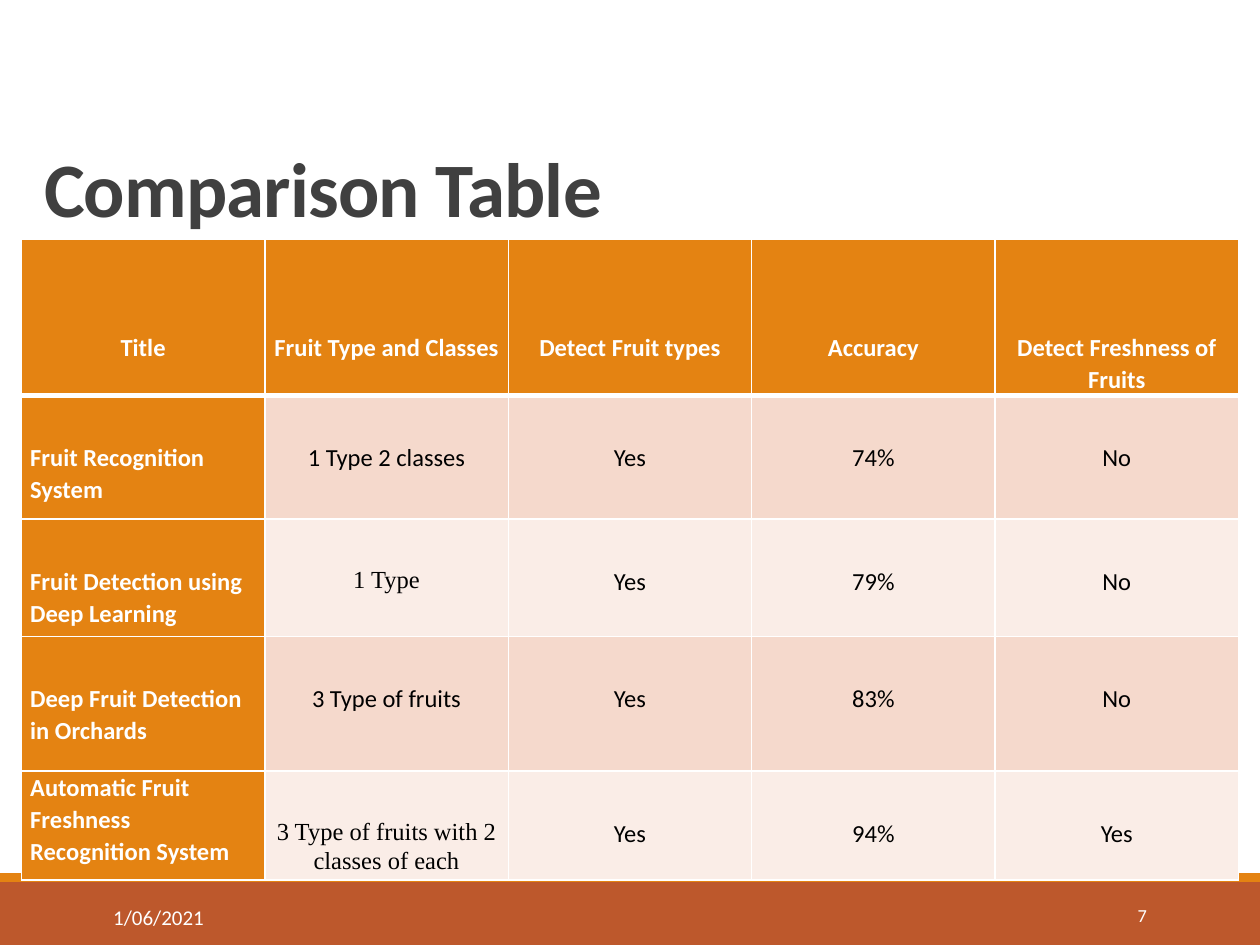
from lxml import etree
from pptx import Presentation, util as u
from pptx.dml.color import RGBColor
from pptx.enum import shapes, text
from pptx.oxml.ns import qn

COLORS = {
    "white": "FFFFFF", "black": "000000", "title": "404040", "rule": "808080",
    "orange": "E48312", "rust": "BD582C", "odd": "F5D9CC", "even": "FAEDE7",
}
FONT, SERIF = "Calibri", "Times New Roman"
WIDTH, HEIGHT = 10, 7.5

HEADER = ["Title", "Fruit Type and Classes", "Detect Fruit types",
          "Accuracy", "Detect Freshness of Fruits"]
SYSTEMS = [
    ["Fruit Recognition System", "1 Type 2 classes", "Yes", "74%", "No"],
    ["Fruit Detection using Deep Learning", "1 Type", "Yes", "79%", "No"],
    ["Deep Fruit Detection in Orchards", "3 Type of fruits", "Yes", "83%", "No"],
    ["Automatic Fruit Freshness Recognition System",
     "3 Type of fruits with 2 classes of each", "Yes", "94%", "Yes"],
]
ROWS = [HEADER] + SYSTEMS
ROW_HEIGHTS = [1.24, 0.98, 0.93, 1.07, 0.82]
TABLE_LEFT, TABLE_TOP = 0.17, 1.9
COL_WIDTH = (WIDTH - 2 * TABLE_LEFT) / len(HEADER)
TEXT_DROP = 0.365  # one line with its spacing
SERIF_CELLS = {(2, 1), (4, 1)}
TOP_CELLS = {(4, 0)}


def rgb(name):
    return RGBColor.from_string(COLORS[name])


def style(p, size, color, bold=False, font=FONT, align=text.PP_ALIGN.LEFT):
    p.alignment = align
    p.font.size, p.font.bold, p.font.name = u.Pt(size), bold, font
    p.font.color.rgb = rgb(color)


def add_band(s, top, height, color):
    sp = s.shapes.add_shape(shapes.MSO_SHAPE.RECTANGLE, 0, u.Inches(top),
                            u.Inches(WIDTH), u.Inches(height))
    sp.shadow.inherit = False
    sp.fill.solid()
    sp.fill.fore_color.rgb = rgb(color)
    sp.line.fill.background()


def add_label(s, box, label, size, align):
    tf = s.shapes.add_textbox(*map(u.Inches, box)).text_frame
    tf.word_wrap = True
    tf.vertical_anchor = text.MSO_ANCHOR.MIDDLE
    p = tf.paragraphs[0]
    p.text = label
    style(p, size, "white", align=align)


def set_borders(cell, **widths):
    """Draw white cell borders; widths are points keyed by L, R, T and B."""
    tcPr = cell._tc.get_or_add_tcPr()
    for side, width in widths.items():
        ln = etree.SubElement(tcPr, qn(f"a:ln{side}"), w=str(u.Pt(width)))
        fill = etree.SubElement(ln, qn("a:solidFill"))
        etree.SubElement(fill, qn("a:srgbClr"), val=COLORS["white"])


def fill_cell(cell, row, col, value):
    heading = row == 0 or col == 0
    set_borders(cell, L=1, R=1, T=3 if row == 1 else 1, B=3 if row == 0 else 1)
    cell.fill.solid()
    cell.fill.fore_color.rgb = rgb(
        "orange" if heading else "odd" if row % 2 else "even")
    lines = 2 if row == 0 else 0 if (row, col) in TOP_CELLS else 1
    cell.margin_left = cell.margin_right = u.Inches(0.07)
    cell.margin_top, cell.margin_bottom = u.Inches(lines * TEXT_DROP), 0
    p = cell.text_frame.paragraphs[0]
    p.text = value
    p.line_spacing, p.space_after = 1.07, u.Pt(8)
    style(p, 14, "white" if heading else "black", heading,
          SERIF if (row, col) in SERIF_CELLS else FONT,
          text.PP_ALIGN.LEFT if row and col == 0 else text.PP_ALIGN.CENTER)


def add_comparison(s):
    table = s.shapes.add_table(
        len(ROWS), len(HEADER), u.Inches(TABLE_LEFT), u.Inches(TABLE_TOP),
        u.Inches(COL_WIDTH * len(HEADER)), u.Inches(sum(ROW_HEIGHTS))).table
    table.horz_banding = False
    for column in table.columns:
        column.width = u.Inches(COL_WIDTH)
    for row, values in enumerate(ROWS):
        table.rows[row].height = u.Inches(ROW_HEIGHTS[row])
        for col, value in enumerate(values):
            fill_cell(table.cell(row, col), row, col, value)


def add_title(s, label):
    title = s.shapes.title
    title.left, title.top, title.width, title.height = map(
        u.Inches, (0.25, 0.31, 8.25, 1.59))
    tf = title.text_frame
    tf.auto_size = text.MSO_AUTO_SIZE.NONE
    tf.vertical_anchor = text.MSO_ANCHOR.BOTTOM
    p = tf.paragraphs[0]
    r = p.add_run()
    r.text = label
    r._r.get_or_add_rPr().set("spc", "-50")
    p.line_spacing = 0.85
    style(p, 44, "title", bold=True)


def add_rule(s):
    rule = s.shapes.add_connector(
        shapes.MSO_CONNECTOR.STRAIGHT,
        *map(u.Inches, (0.98, TABLE_TOP, 9.15, TABLE_TOP)))
    rule.line.color.rgb = rgb("rule")
    rule.line.width = u.Pt(0.5)
    etree.SubElement(rule._element.spPr, qn("a:effectLst"))


def main():
    prs = Presentation()
    prs.slide_width, prs.slide_height = u.Inches(WIDTH), u.Inches(HEIGHT)
    s = prs.slides.add_slide(prs.slide_layouts.get_by_name("Title Only"))
    add_band(s, 7, 0.5, "rust")
    add_band(s, 6.93, 0.07, "orange")
    add_rule(s)
    add_title(s, "Comparison Table")
    add_label(s, (8.12, 7.06, 1.08, 0.4), "7", 10.5, text.PP_ALIGN.RIGHT)
    add_comparison(s)
    add_label(s, (0.8, 7.13, 1.45, 0.3), "1/06/2021", 12, text.PP_ALIGN.LEFT)
    prs.save("out.pptx")


if __name__ == "__main__":
    main()
